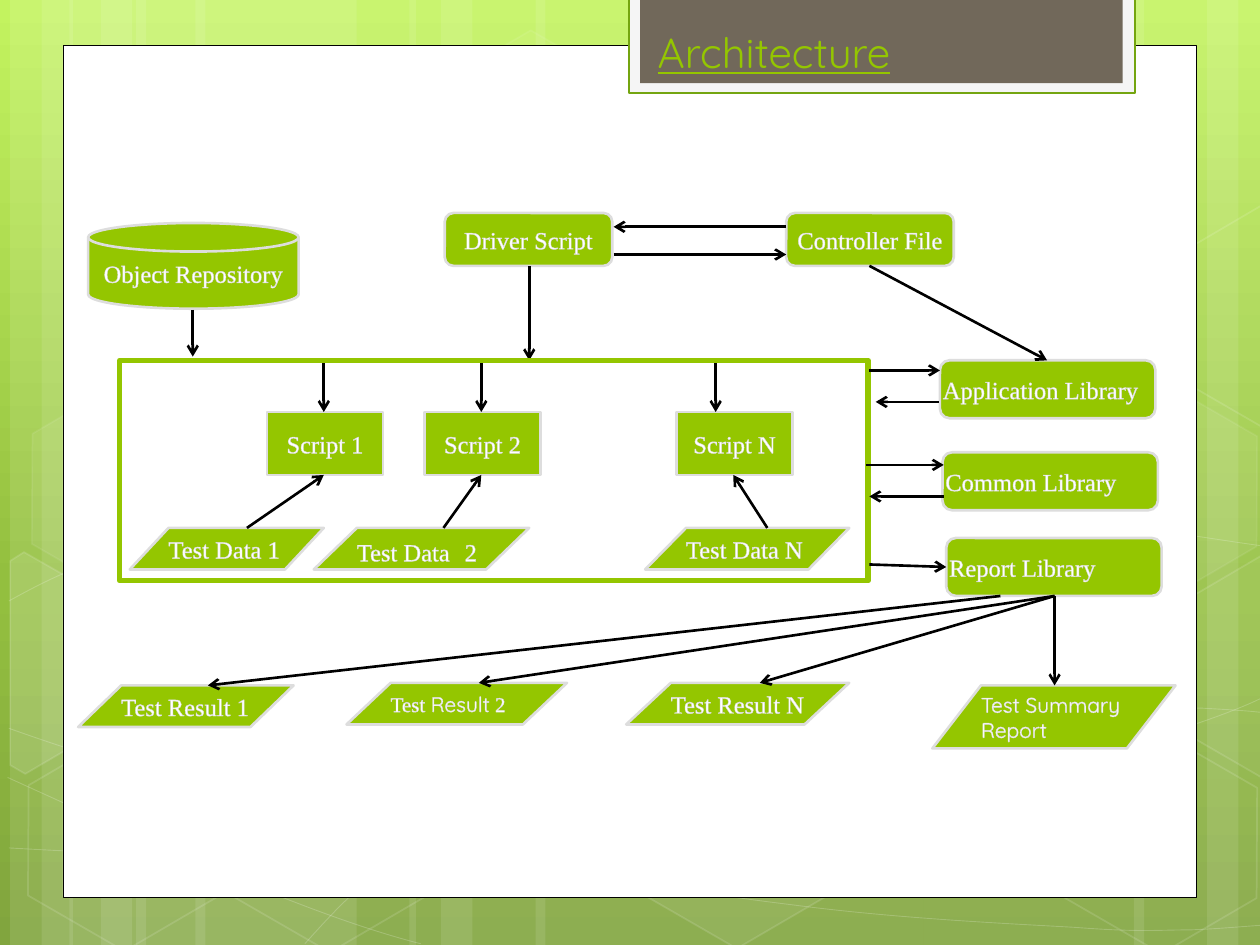
from math import cos, radians, sin

from lxml import etree
from pptx import Presentation
from pptx.dml.color import RGBColor
from pptx.enum import shapes, text
from pptx.oxml.ns import qn
from pptx.util import Inches, Pt

THEME = dict(
    green="94C600", white="FFFFFF", black="000000", edge="DDDDDD", glow="D9D9D9",
    tab="71685A", tab_frame="F5F5F5", tab_line="74A510",
    backdrop=[(0, "C3F35F"), (62, "93BF3F"), (100, "81A53E")],
    serif="Times New Roman", sans="Quicksand",
    title=24, gap=18, body=14, small=12)

MSO = shapes.MSO_SHAPE
RECT, BOX, ROUND = MSO.RECTANGLE, MSO.FLOWCHART_PROCESS, MSO.FLOWCHART_ALTERNATE_PROCESS
DATA, DISK = MSO.FLOWCHART_DATA, MSO.FLOWCHART_MAGNETIC_DISK
LEFT, CENTER = text.PP_ALIGN.LEFT, text.PP_ALIGN.CENTER
TILT = 30

SANS = dict(font=THEME["sans"], size=THEME["small"])
SMALL = dict(size=THEME["small"])

TITLE = "Architecture"
NODES = [
    (ROUND, CENTER, 1.33, 0.42, [("Driver Script", 3.53, 1.69), ("Controller File", 6.24, 1.69)]),
    (DISK, CENTER, 1.67, 0.68, [("Object Repository", 0.7, 1.77)]),
    (BOX, CENTER, 0.92, 0.5, [(f"Script {n}", x, 3.27)
                              for n, x in (("1", 2.12), ("2", 3.37), ("N", 5.37))]),
    (DATA, LEFT, 1.54, 0.33, [("Test Data 1", 1.03, 4.19)]),
    (DATA, LEFT, 1.71, 0.33, [
        ([("Test Data ", {}), (" ", dict(font=THEME["sans"], size=THEME["gap"])), ("2", {})], 2.49, 4.19),
        ("Test Result 1", 0.62, 5.44)]),
    (DATA, LEFT, 1.62, 0.33, [("Test Data N", 5.12, 4.19)]),
    (DATA, LEFT, 1.75, 0.33, [
        ([("Test ", SMALL), ("Result", SANS), (" 2", SMALL)], 2.75, 5.42)]),
    (DATA, LEFT, 1.77, 0.33, [("Test Result N", 4.97, 5.42)]),
    (DATA, LEFT, 1.93, 0.5, [([("Test Summary Report", SANS)], 7.4, 5.44)]),
    (ROUND, LEFT, 1.71, 0.46, [("Application Library", 7.46, 2.86),
                               ("Common Library", 7.48, 3.59), ("Report Library", 7.51, 4.27)]),
]
FRAME = (0.95, 2.86, 5.94, 1.75)
SCRIPT_ARROWS = [
    (6.24, 1.8, 4.87, 1.8), (4.87, 2.02, 6.24, 2.02), (4.2, 2.11, 4.2, 2.86),
    (2.57, 2.86, 2.57, 3.27), (3.82, 2.86, 3.82, 3.27), (5.68, 2.86, 5.68, 3.27),
    (1.96, 4.19, 2.57, 3.77), (3.52, 4.19, 3.82, 3.77), (6.09, 4.19, 5.82, 3.77),
]
LIBRARY_ARROWS = [
    (6.9, 2.94, 7.46, 2.94), (6.9, 4.48, 7.51, 4.5), (7.45, 3.19, 6.95, 3.19),
    (7.49, 3.94, 6.9, 3.94), (8.37, 4.73, 8.37, 5.44), (7.94, 4.73, 1.65, 5.44),
    (8.37, 4.73, 3.8, 5.42), (8.37, 4.73, 6.03, 5.42),
    (6.87, 3.69, 7.49, 3.69), (6.9, 2.11, 8.31, 2.86), (1.53, 2.46, 1.53, 2.83),
]

BANDS = [(1.08, 1.75), (0.08, 0.5), (0.33, 0.83), (1.55, 1.75), (0.55, 0.5), (0.8, 0.83),
         (7.33, 1.75), (9.58, 0.5), (9, 0.83), (4.25, 3.08), (3.25, 0.5), (3.5, 0.83)]
CURVES = [
    [(0.07, 6.73), (0.61, 6.76), (1.15, 6.79), (1.9, 6.78), (2.65, 6.77), (3.58, 6.75), (4.58, 6.65),
     (5.58, 6.55), (7, 6.36), (7.92, 6.17), (8.83, 5.98), (9.77, 5.68), (10.07, 5.51)],
    [(0.07, 4.77), (0.36, 4.61), (0.65, 4.46), (1.21, 4.31), (1.78, 4.16), (2.59, 3.94), (3.47, 3.87),
     (4.36, 3.8), (5.44, 3.79), (6.54, 3.87), (7.64, 3.95), (9.47, 4.26), (10.07, 4.34)],
    [(0.06, 6.17), (1.27, 6.72), (2.47, 7.27), (3.34, 7.49)],
    [(0.07, 5.78), (0.38, 5.89), (0.7, 6), (1.28, 6.16), (1.86, 6.31), (2.73, 6.56), (3.57, 6.73),
     (4.4, 6.9), (5.45, 7.08), (6.28, 7.18), (7.11, 7.29), (8, 7.33), (8.53, 7.36),
     (9.05, 7.4), (9.19, 7.38), (9.45, 7.38), (9.71, 7.37), (9.89, 7.35), (10.07, 7.34)],
    [(2.42, 7.49), (2.6, 7.29), (2.78, 7.09), (3.02, 6.91), (3.26, 6.73), (3.6, 6.53), (3.88, 6.39),
     (4.16, 6.25), (4.33, 6.19), (4.7, 6.09), (5.06, 5.99), (5.73, 5.85), (6.08, 5.78),
     (6.44, 5.71), (6.49, 5.71), (6.8, 5.69), (7.11, 5.66), (7.6, 5.63), (7.94, 5.62),
     (8.29, 5.61), (8.86, 5.62), (8.86, 5.62), (9.08, 5.62), (9.3, 5.62), (9.53, 5.62),
     (9.71, 5.63), (9.88, 5.64), (9.97, 5.65), (10.06, 5.66), (10.03, 5.65), (10.06, 5.66)],
]
HEXAGONS = [(3.34, 0.36, 4, 8), (4.97, 5.89, 6, 12), (0.11, 5.91, None, 12), (0.14, 3.12, 7, 8),
            (1.74, 5.92, None, 12), (7.53, 4.53, 10, 12), (8.34, 5.93, None, 12), (8.34, 3.14, 7, 8)]
CUT_HEXAGONS = [
    ([(0.08, 4.45), (0.19, 4.38), (0.96, 4.82), (0.95, 5.7), (0.2, 6.14), (0.08, 6.07)], (0.36, 5.35), 10),
    ([(9.26, 4.85), (10.01, 4.41), (10.09, 4.46), (10.09, 6.13), (10.02, 6.17), (9.26, 5.73)],
     (9.85, 5.2), 4),
    ([(9.26, 2.07), (10.01, 1.63), (10.1, 1.68), (10.09, 3.35), (10.02, 3.39), (9.26, 2.95)],
     (9.85, 2.41), None),
]


def color(name):
    return RGBColor.from_string(THEME[name])


def solid(fill, name):
    if name is None:
        fill.background()
    else:
        fill.solid()
        fill.fore_color.rgb = color(name)


def fade(parent, percent):
    clr = parent.find(qn("a:solidFill") + "/" + qn("a:srgbClr"))
    etree.SubElement(clr, qn("a:alpha"), val=str(percent * 1000))


def paint(sp, fill=None, line=None, width=1.0, fill_alpha=None, line_alpha=None):
    sp.shadow.inherit = False
    solid(sp.fill, fill)
    solid(sp.line.fill, line)
    if line:
        sp.line.width = Pt(width)
    if fill and fill_alpha:
        fade(sp._element.spPr, fill_alpha)
    if line_alpha:
        fade(sp._element.spPr.find(qn("a:ln")), line_alpha)
    return sp


def shape(s, kind, box, **look):
    return paint(s.shapes.add_shape(kind, *map(Inches, box)), **look)


def outline(s, points, close, **look):
    pts = [(Inches(x), Inches(y)) for x, y in points]
    fb = s.shapes.build_freeform(*pts[0])
    fb.add_line_segments(pts[1:], close=close)
    return paint(fb.convert_to_shape(), **look)


def curve(s, points, **look):
    sp = outline(s, points, False, **look)
    lines = list(sp._element.iter(qn("a:lnTo")))
    for i in range(0, len(lines), 3):
        bend = etree.Element(qn("a:cubicBezTo"))
        lines[i].addprevious(bend)
        for ln in lines[i:i + 3]:
            bend.append(ln[0])
            ln.getparent().remove(ln)


def untilt(points, center):
    cx, cy = center
    c, n = cos(radians(TILT)), sin(radians(TILT))
    return [(cx + (x - cx) * c + (y - cy) * n, cy - (x - cx) * n + (y - cy) * c) for x, y in points]


def write(tf, content, align=LEFT, anchor=text.MSO_ANCHOR.MIDDLE, inset=0.0, fill="white",
          font=THEME["serif"], size=THEME["body"], underline=None, glow=True):
    tf.word_wrap = True
    tf.vertical_anchor = anchor
    tf.margin_left = tf.margin_right = Inches(inset)
    tf.margin_top = tf.margin_bottom = Inches(inset / 2)
    p = tf.paragraphs[0]
    p.alignment = align
    for words, style in [(content, {})] if isinstance(content, str) else content:
        r = p.add_run()
        r.text = words
        r.font.name = style.get("font", font)
        r.font.size = Pt(style.get("size", size))
        r.font.underline = underline
        r.font.color.rgb = color(fill)
        if glow:
            ln = etree.Element(qn("a:ln"), w=str(Pt(0.75)))
            etree.SubElement(etree.SubElement(ln, qn("a:solidFill")), qn("a:srgbClr"), val=THEME["glow"])
            r.font._element.insert(0, ln)


def arrow(s, *ends):
    c = s.shapes.add_connector(shapes.MSO_CONNECTOR.STRAIGHT, *map(Inches, ends))
    solid(c.line.fill, "black")
    c.line.width = Pt(1.5)
    etree.SubElement(c.line._get_or_add_ln(), qn("a:tailEnd"), type="arrow")
    etree.SubElement(c._element.spPr, qn("a:effectLst"))


def backdrop(s):
    fill = s.background.fill
    fill.gradient()
    fill.gradient_angle = 270
    stops = s.element.find(".//" + qn("a:gsLst"))
    for old in list(stops):
        stops.remove(old)
    for pos, rgb in THEME["backdrop"]:
        gs = etree.SubElement(stops, qn("a:gs"), pos=str(pos * 1000))
        etree.SubElement(gs, qn("a:srgbClr"), val=rgb)
    for x, w in BANDS:
        shape(s, RECT, (x, 0, w, 7.5), fill="white", fill_alpha=10)
    for pts in CURVES:
        curve(s, pts, line="white", width=0.5, line_alpha=20)
    for x, y, fa, la in HEXAGONS:
        sp = shape(s, MSO.HEXAGON, (x, y, 1.75, 1.52), fill=fa and "white", line="white",
                   fill_alpha=fa, line_alpha=la)
        sp.adjustments[0] = 0.285
        sp.rotation = TILT
    for pts, center, fa in CUT_HEXAGONS:
        sp = outline(s, untilt(pts, center), True, fill=fa and "white", line="white",
                     fill_alpha=fa, line_alpha=12)
        sp.rotation = TILT
    shape(s, RECT, (0.5, 0.36, 9, 6.76), fill="white", line="black", width=0.5)
    shape(s, RECT, (4.99, -0.02, 4.02, 0.76), fill="tab_frame", line="tab_line", width=1.25)
    shape(s, RECT, (5.08, -0.02, 3.83, 0.68), fill="tab")


prs = Presentation()
prs.slide_width, prs.slide_height = Inches(10), Inches(7.5)
s = prs.slides.add_slide(prs.slide_layouts[5])
backdrop(s)
title = s.shapes.title
title.left, title.top, title.width, title.height = map(Inches, (5.12, 0.08, 3.8, 0.58))
write(title.text_frame, TITLE, anchor=text.MSO_ANCHOR.BOTTOM, inset=0.1, fill="green",
      font=THEME["sans"], size=THEME["title"], underline=True, glow=False)
s.shapes._spTree.append(title._element)
for kind, align, w, h, items in NODES:
    for label, x, y in items:
        sp = shape(s, kind, (x, y, w, h), fill="green", line="edge", width=1.5)
        write(sp.text_frame, label, align=align)
for ends in SCRIPT_ARROWS:
    arrow(s, *ends)
shape(s, BOX, FRAME, line="green", width=3)
for ends in LIBRARY_ARROWS:
    arrow(s, *ends)
prs.save("out.pptx")
